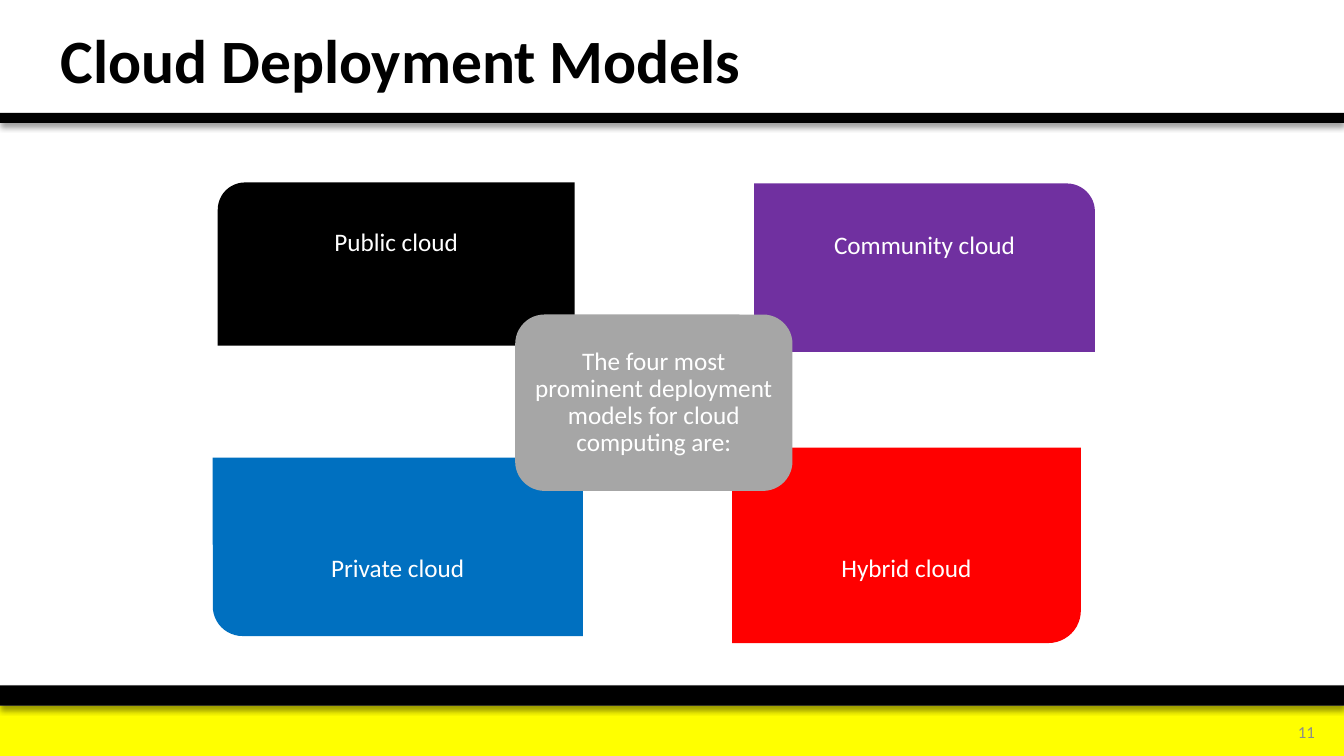
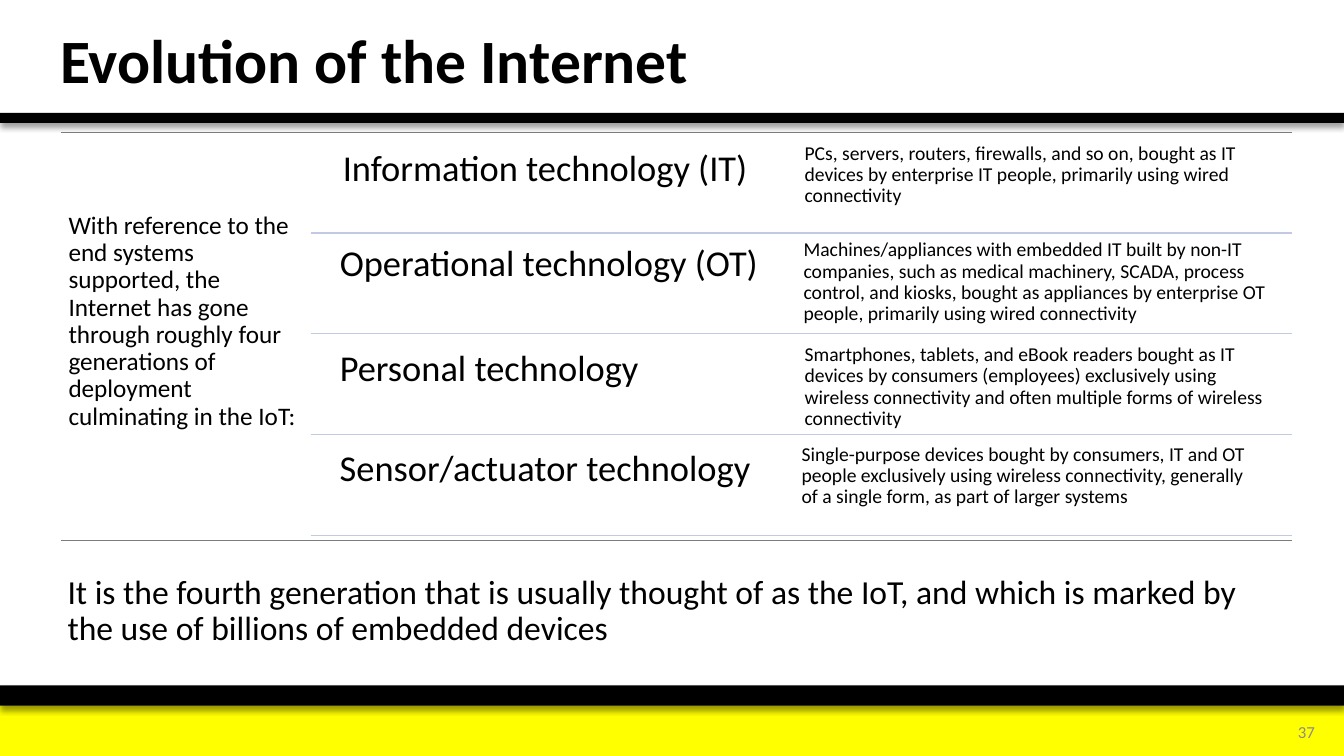
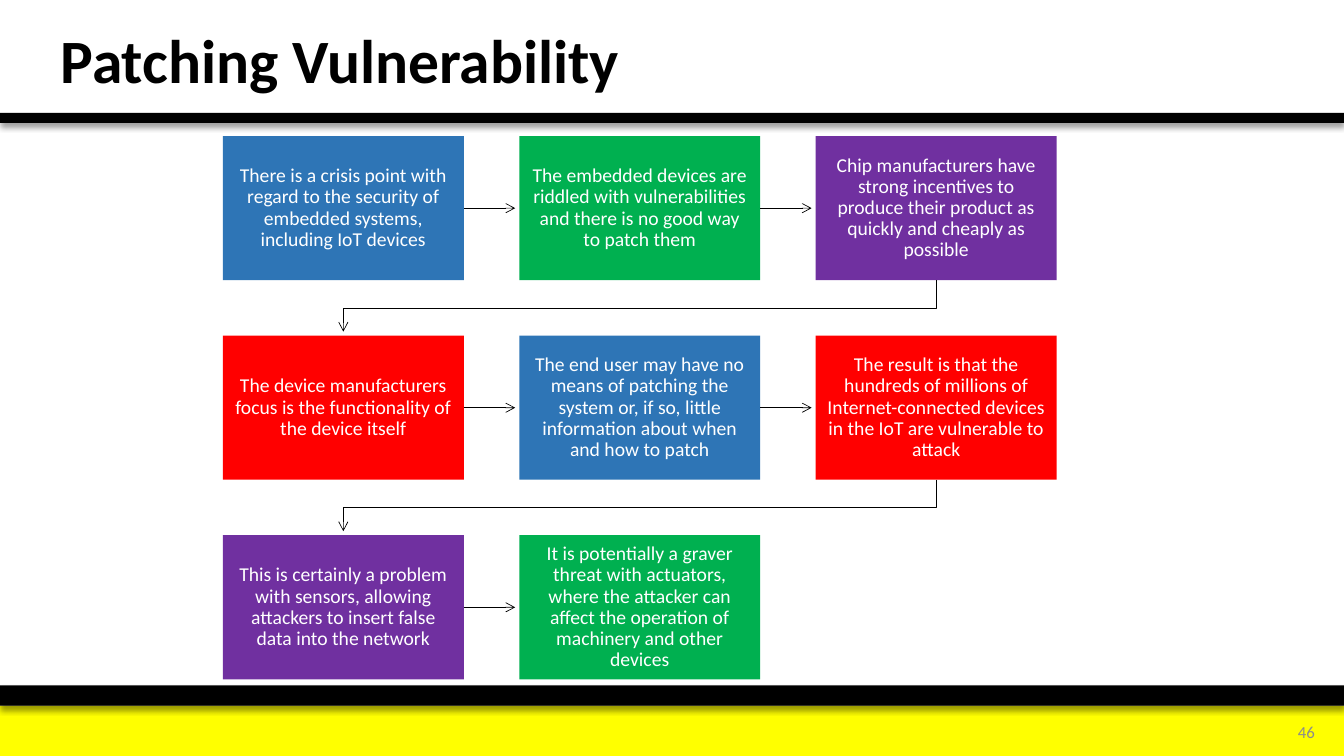
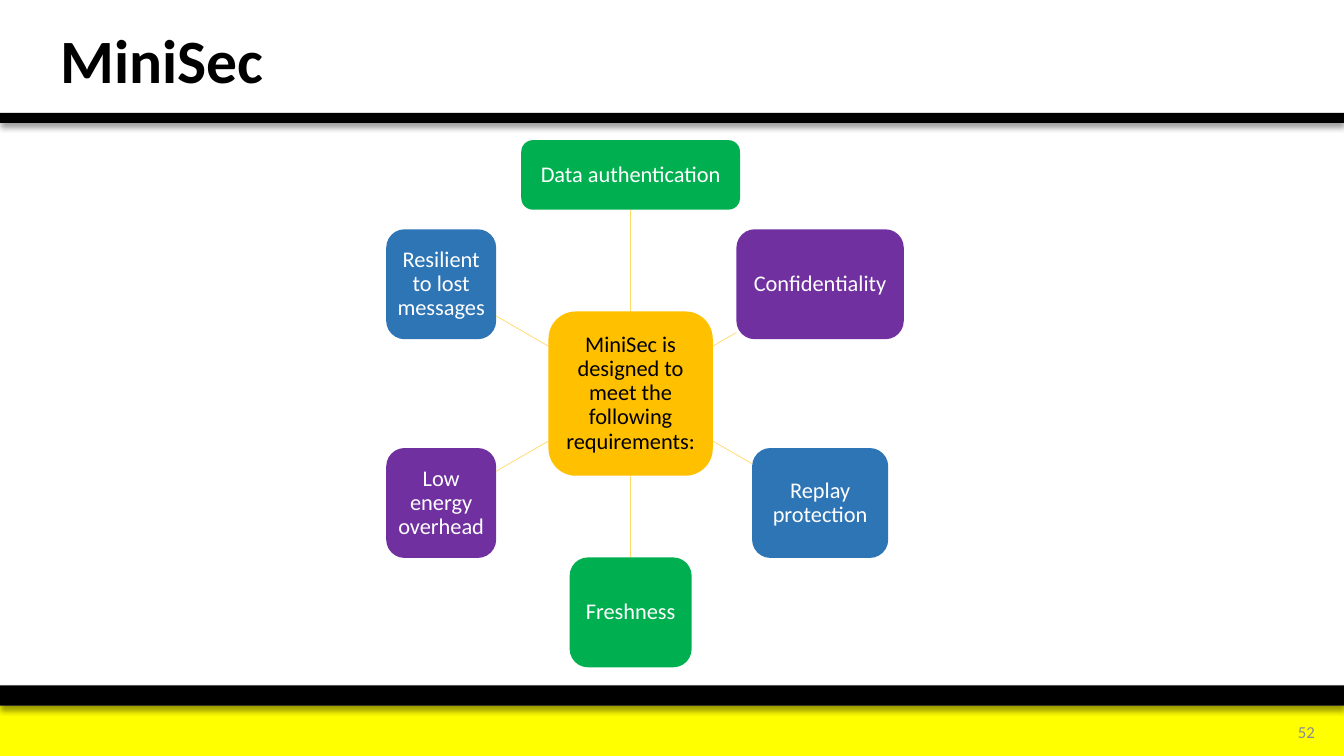
from dataclasses import dataclass
from math import cos, radians, sin

from lxml import etree
from pptx import Presentation
from pptx.dml.color import RGBColor
from pptx.enum.shapes import MSO_CONNECTOR, MSO_SHAPE
from pptx.enum.text import MSO_ANCHOR, MSO_AUTO_SIZE, PP_ALIGN
from pptx.oxml.ns import qn
from pptx.util import Inches, Pt

RECT = MSO_SHAPE.RECTANGLE
ROUNDED = MSO_SHAPE.ROUNDED_RECTANGLE
ONE_ROUND = MSO_SHAPE.ROUND_1_RECTANGLE
STRAIGHT = MSO_CONNECTOR.STRAIGHT
LEFT, CENTER, RIGHT = PP_ALIGN.LEFT, PP_ALIGN.CENTER, PP_ALIGN.RIGHT
TOP, MIDDLE = MSO_ANCHOR.TOP, MSO_ANCHOR.MIDDLE
SIDE_TOP, SIDE_BOTTOM, SIDE_RIGHT = 0, 2, 3

FONT = "Calibri"
SLIDE_WIDTH = 13.33
COLORS = {
    "black": "000000",
    "white": "FFFFFF",
    "yellow": "FFFF00",
    "purple": "7030A0",
    "blue": "0070C0",
    "steel": "2E75B6",
    "green": "00B050",
    "red": "FF0000",
    "amber": "FFC000",
    "spoke": "FFD966",
    "gray": "A6A6A6",
    "number": "8C8C8C",
    "frame": "7C7C7C",
    "divider": "C1C9E4",
}


@dataclass(frozen=True)
class Box:
    left: float
    top: float
    width: float
    height: float

    @property
    def center(self) -> tuple[float, float]:
        return self.left + self.width / 2, self.top + self.height / 2

    def inches(self) -> tuple:
        return tuple(Inches(v) for v in (self.left, self.top, self.width, self.height))

    def edge_toward(self, dx: float, dy: float) -> tuple[float, float]:
        """Point where a ray from the center leaves the box."""
        reach = 1 / max(abs(dx) / (self.width / 2), abs(dy) / (self.height / 2))
        x, y = self.center
        return x + dx * reach, y + dy * reach


@dataclass(frozen=True)
class TextStyle:
    size: float
    color: str = "black"
    align: PP_ALIGN = LEFT
    anchor: MSO_ANCHOR = TOP
    inset: float | None = None
    bold: bool = False
    spacing: float = 0.9


@dataclass(frozen=True)
class Cloud:
    name: str
    color: str
    box: Box
    turn: int
    label_low: bool


@dataclass(frozen=True)
class Generation:
    name: str
    name_box: Box
    detail: str
    detail_box: Box


@dataclass(frozen=True)
class Step:
    text: str
    color: str


@dataclass(frozen=True)
class Requirement:
    text: str
    color: str
    width: float
    height: float


TITLE_BOX = Box(0.5, 0.07, 9.41, 1.12)
NUMBER_BOX = Box(12.38, 7.06, 0.76, 0.4)
TITLE_STYLE = TextStyle(44, anchor=MIDDLE, bold=True)
NUMBER_STYLE = TextStyle(12, "number", RIGHT, MIDDLE, spacing=1.0)
CLOUD_STYLE = TextStyle(18, "white", CENTER, MIDDLE, 0.14)
CLOUD_HUB_STYLE = TextStyle(18, "white", CENTER, MIDDLE, 0.07)
INTRO_STYLE = TextStyle(18, inset=0.07)
NAME_STYLE = TextStyle(26, inset=0.11)
DETAIL_STYLE = TextStyle(14, inset=0.06)
CONCLUSION_STYLE = TextStyle(24, inset=0.06)
STEP_STYLE = TextStyle(14, "white", CENTER, MIDDLE, 0.11)
HUB_STYLE = TextStyle(16, "black", CENTER, MIDDLE, 0.04)
REQUIREMENT_STYLE = TextStyle(16, "white", CENTER, MIDDLE, 0.04)

CLOUDS = [
    Cloud("Public cloud", "black", Box(2.16, 1.81, 3.54, 1.62), 270, False),
    Cloud("Community cloud", "purple", Box(7.48, 1.82, 3.38, 1.67), 0, False),
    Cloud("Private cloud", "blue", Box(2.11, 4.54, 3.67, 1.77), 180, True),
    Cloud("Hybrid cloud", "red", Box(7.26, 4.44, 3.46, 1.94), 90, True),
]

GENERATIONS = [
    Generation(
        "Information technology (IT)", Box(3.29, 1.38, 4.4, 0.95),
        "PCs, servers, routers, firewalls, and so on, bought as IT devices by "
        "enterprise IT people, primarily using wired connectivity",
        Box(7.92, 1.36, 4.84, 0.95)),
    Generation(
        "Operational technology (OT)", Box(3.26, 2.32, 4.48, 0.95),
        "Machines/appliances with embedded IT built by non-IT companies, such as "
        "medical machinery, SCADA, process control, and kiosks, bought as "
        "appliances by enterprise OT people, primarily using wired connectivity",
        Box(7.91, 2.32, 4.89, 0.95)),
    Generation(
        "Personal technology", Box(3.26, 3.36, 4.48, 0.95),
        "Smartphones, tablets, and eBook readers bought as IT devices by consumers "
        "(employees) exclusively using wireless connectivity and often multiple "
        "forms of wireless connectivity",
        Box(7.92, 3.36, 4.89, 0.95)),
    Generation(
        "Sensor/actuator technology", Box(3.26, 4.36, 4.4, 0.95),
        "Single-purpose devices bought by consumers, IT and OT people exclusively "
        "using wireless connectivity, generally of a single form, as part of "
        "larger systems",
        Box(7.89, 4.35, 4.68, 0.95)),
]

STEPS = [
    Step("There is a crisis point with regard to the security of embedded systems, "
         "including IoT devices", "steel"),
    Step("The embedded devices are riddled with vulnerabilities and there is no "
         "good way to patch them", "green"),
    Step("Chip manufacturers have strong incentives to produce their product as "
         "quickly and cheaply as possible", "purple"),
    Step("The device manufacturers focus is the functionality of the device itself",
         "red"),
    Step("The end user may have no means of patching the system or, if so, little "
         "information about when and how to patch", "steel"),
    Step("The result is that the hundreds of millions of Internet-connected devices "
         "in the IoT are vulnerable to attack", "red"),
    Step("This is certainly a problem with sensors, allowing attackers to insert "
         "false data into the network", "purple"),
    Step("It is potentially a graver threat with actuators, where the attacker can "
         "affect the operation of machinery and other devices", "green"),
]

# Clockwise from the top
REQUIREMENTS = [
    Requirement("Data authentication", "green", 2.17, 0.69),
    Requirement("Confidentiality", "purple", 1.66, 1.09),
    Requirement("Replay protection", "steel", 1.35, 1.09),
    Requirement("Freshness", "green", 1.21, 1.09),
    Requirement("Low energy overhead", "purple", 1.09, 1.09),
    Requirement("Resilient to lost messages", "steel", 1.09, 1.09),
]


# Drawing helpers
def rgb(color: str) -> RGBColor:
    return RGBColor.from_string(COLORS[color])


def write(shape, text: str, style: TextStyle) -> None:
    frame = shape.text_frame
    frame.word_wrap = True
    frame.auto_size = MSO_AUTO_SIZE.NONE
    frame.vertical_anchor = style.anchor
    if style.inset is not None:
        frame.margin_left = frame.margin_right = Inches(style.inset)
        frame.margin_top = frame.margin_bottom = Inches(style.inset)
    frame.text = text
    paragraph = frame.paragraphs[0]
    paragraph.alignment = style.align
    paragraph.line_spacing = style.spacing
    paragraph.font.name = FONT
    paragraph.font.size = Pt(style.size)
    paragraph.font.bold = style.bold
    paragraph.font.color.rgb = rgb(style.color)


def add_text(slide, box: Box, text: str, style: TextStyle) -> None:
    write(slide.shapes.add_textbox(*box.inches()), text, style)


def add_block(slide, kind: MSO_SHAPE, box: Box, color: str):
    block = slide.shapes.add_shape(kind, *box.inches())
    block.fill.solid()
    block.fill.fore_color.rgb = rgb(color)
    block.line.fill.background()
    block.shadow.inherit = False
    return block


def add_line(slide, start: tuple[float, float], end: tuple[float, float],
             color: str, width: float):
    line = slide.shapes.add_connector(STRAIGHT, *map(Inches, (*start, *end)))
    line.line.color.rgb = rgb(color)
    line.line.width = Pt(width)
    etree.SubElement(line.element.spPr, qn("a:effectLst"))
    return line


def add_arrowhead(shape) -> None:
    outline = shape.element.spPr.find(qn("a:ln"))
    etree.SubElement(outline, qn("a:tailEnd"), type="arrow")


def add_drop_shadow(shape) -> None:
    effects = shape.element.spPr.find(qn("a:effectLst"))
    shadow = etree.SubElement(effects, qn("a:outerShdw"), blurRad=str(Pt(4)),
                              dist=str(Pt(3)), dir="5400000", algn="t", rotWithShape="0")
    color = etree.SubElement(shadow, qn("a:srgbClr"), val=COLORS["black"])
    etree.SubElement(color, qn("a:alpha"), val="40000")


# Shared layout
def prepare_layout(layout, slide) -> None:
    """Keep only the title on the layout and move the bands onto it."""
    for placeholder in list(layout.placeholders):
        if placeholder.placeholder_format.idx != 0:
            placeholder.element.getparent().remove(placeholder.element)
    title = layout.placeholders[0]
    title.left, title.top, title.width, title.height = TITLE_BOX.inches()

    footer = add_block(slide, RECT, Box(0, 7, SLIDE_WIDTH, 0.5), "yellow")
    footer_edge = add_block(slide, RECT, Box(0, 6.8, SLIDE_WIDTH, 0.2), "black")
    title_rule = add_block(slide, RECT, Box(0, 1.12, SLIDE_WIDTH, 0.1), "black")
    add_drop_shadow(footer_edge)
    add_drop_shadow(title_rule)
    for band in (footer, footer_edge, title_rule):
        title.element.addprevious(band.element)


def start_slide(slide, title: str, number: int) -> None:
    write(slide.shapes.title, title, TITLE_STYLE)
    slide.shapes.title.text_frame.paragraphs[0].space_before = Pt(0)
    add_text(slide, NUMBER_BOX, str(number), NUMBER_STYLE)


# Slide contents
def draw_cloud_models(slide) -> None:
    for cloud in CLOUDS:
        box = cloud.box
        x, y = box.center
        sideways = cloud.turn in (90, 270)
        width, height = (box.height, box.width) if sideways else (box.width, box.height)
        unturned = Box(x - width / 2, y - height / 2, width, height)
        add_block(slide, ONE_ROUND, unturned, cloud.color).rotation = cloud.turn
        label_top = box.top + (box.height / 4 if cloud.label_low else 0)
        label_box = Box(box.left, label_top, box.width, box.height * 0.75)
        add_text(slide, label_box, cloud.name, CLOUD_STYLE)

    hub = add_block(slide, ROUNDED, Box(5.11, 3.12, 2.75, 1.75), "gray")
    write(hub, "The four most prominent deployment models for cloud computing are:",
          CLOUD_HUB_STYLE)


def draw_generations(slide) -> None:
    frame_left, right, frame_top, frame_bottom = 0.61, 12.81, 1.31, 5.36
    for y in (frame_top, frame_bottom):
        add_line(slide, (frame_left, y), (right, y), "frame", 0.5)
    add_text(slide, Box(frame_left, 2.04, 2.46, 3.3),
             "With reference to the end systems supported, the Internet has gone through "
             "roughly four generations of deployment culminating in the IoT:", INTRO_STYLE)
    for row, generation in enumerate(GENERATIONS, start=1):
        add_text(slide, generation.name_box, generation.name, NAME_STYLE)
        add_text(slide, generation.detail_box, generation.detail, DETAIL_STYLE)
        y = frame_top + row
        add_line(slide, (3.08, y), (right, y), "divider", 1)
    add_text(slide, Box(frame_left, 5.65, 12.19, 1.09),
             "It is the fourth generation that is usually thought of as the IoT, and which "
             "is marked by the use of billions of embedded devices", CONCLUSION_STYLE)


def add_row_return(slide, source: Box, target: Box, gap: float) -> None:
    """Bent arrow from the end of one row to the start of the next."""
    start_x, end_x = source.center[0], target.center[0]
    bottom = source.top + source.height
    turn_y = (bottom + target.top) / 2
    points = [(start_x, turn_y), (end_x, turn_y), (end_x, target.top - gap)]
    builder = slide.shapes.build_freeform(Inches(start_x), Inches(bottom))
    builder.add_line_segments([(Inches(x), Inches(y)) for x, y in points], close=False)
    path = builder.convert_to_shape()
    path.fill.background()
    path.line.color.rgb = rgb("black")
    path.line.width = Pt(0.5)
    path.shadow.inherit = False
    add_arrowhead(path)


def draw_patching_steps(slide) -> None:
    columns, pitch_x, pitch_y, gap = 3, 2.94, 1.98, 0.04
    boxes = [Box(2.21 + i % columns * pitch_x, 1.35 + i // columns * pitch_y, 2.39, 1.43)
             for i in range(len(STEPS))]
    cards = []
    for step, box in zip(STEPS, boxes):
        card = add_block(slide, RECT, box, step.color)
        write(card, step.text, STEP_STYLE)
        cards.append(card)

    for card, box, following in zip(cards, boxes, boxes[1:]):
        if following.top > box.top:
            add_row_return(slide, box, following, gap)
            continue
        y = box.center[1]
        arrow = add_line(slide, (box.left + box.width, y), (following.left - gap, y),
                         "black", 0.5)
        arrow.begin_connect(card, SIDE_RIGHT)
        add_arrowhead(arrow)


def draw_requirements(slide) -> None:
    hub_box = Box(5.44, 3.09, 1.63, 1.63)
    hub_x, hub_y = hub_box.center
    radius = 2.17
    hub = add_block(slide, ROUNDED, hub_box, "amber")
    write(hub, "MiniSec is designed to meet the following requirements:", HUB_STYLE)

    for i, requirement in enumerate(REQUIREMENTS):
        angle = radians(i * 360 / len(REQUIREMENTS))
        dx, dy = radius * sin(angle), -radius * cos(angle)
        box = Box(hub_x + dx - requirement.width / 2, hub_y + dy - requirement.height / 2,
                  requirement.width, requirement.height)
        node = add_block(slide, ROUNDED, box, requirement.color)
        write(node, requirement.text, REQUIREMENT_STYLE)
        spoke = add_line(slide, hub_box.edge_toward(dx, dy), box.edge_toward(-dx, -dy),
                         "spoke", 0.5)
        if abs(dx) < 0.01:
            hub_side, node_side = ((SIDE_TOP, SIDE_BOTTOM) if dy < 0
                                   else (SIDE_BOTTOM, SIDE_TOP))
            spoke.begin_connect(hub, hub_side)
            spoke.end_connect(node, node_side)


def main() -> None:
    deck = Presentation()
    deck.slide_width, deck.slide_height = Inches(SLIDE_WIDTH), Inches(7.5)
    layout = deck.slide_layouts.get_by_name("Title Only")
    contents = [
        ("Cloud Deployment Models", 11, draw_cloud_models),
        ("Evolution of the Internet", 37, draw_generations),
        ("Patching Vulnerability", 46, draw_patching_steps),
        ("MiniSec", 52, draw_requirements),
    ]
    for position, (title, number, draw) in enumerate(contents):
        slide = deck.slides.add_slide(layout)
        if position == 0:
            prepare_layout(layout, slide)
        start_slide(slide, title, number)
        draw(slide)
    deck.save("out.pptx")


if __name__ == "__main__":
    main()
